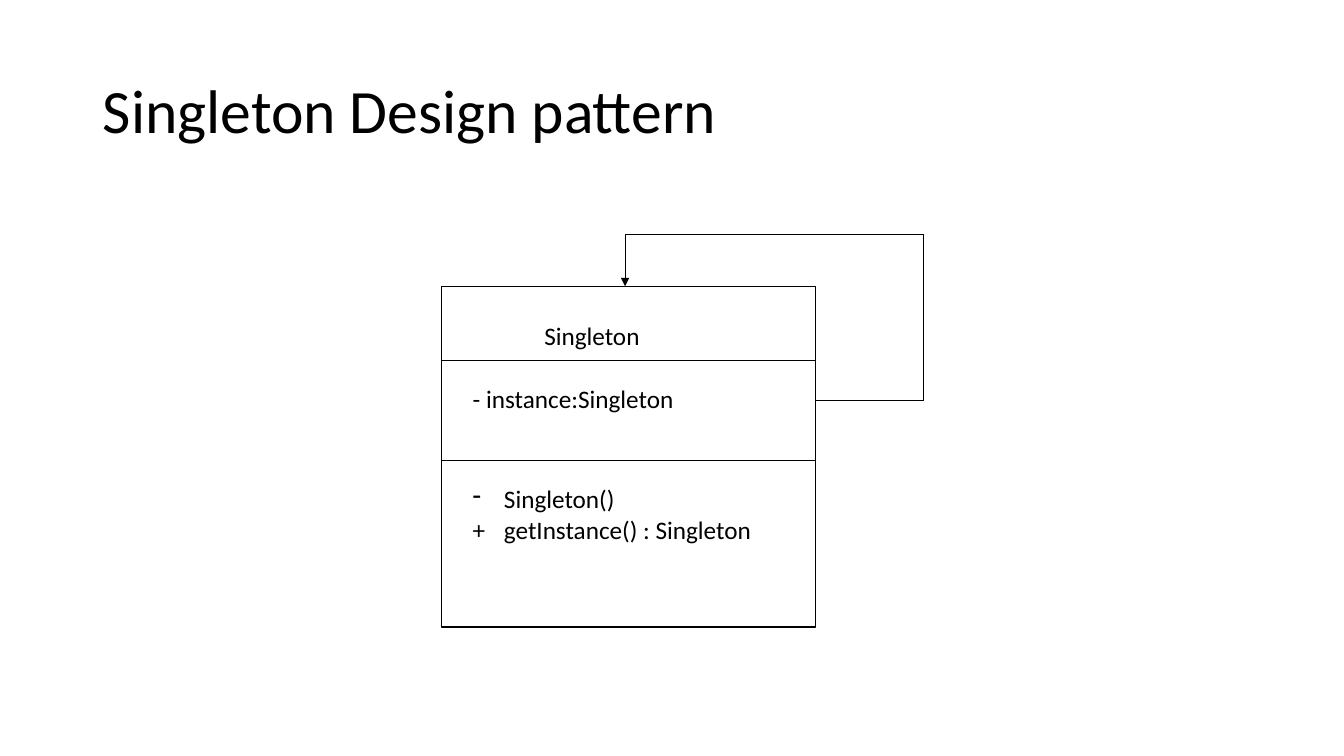
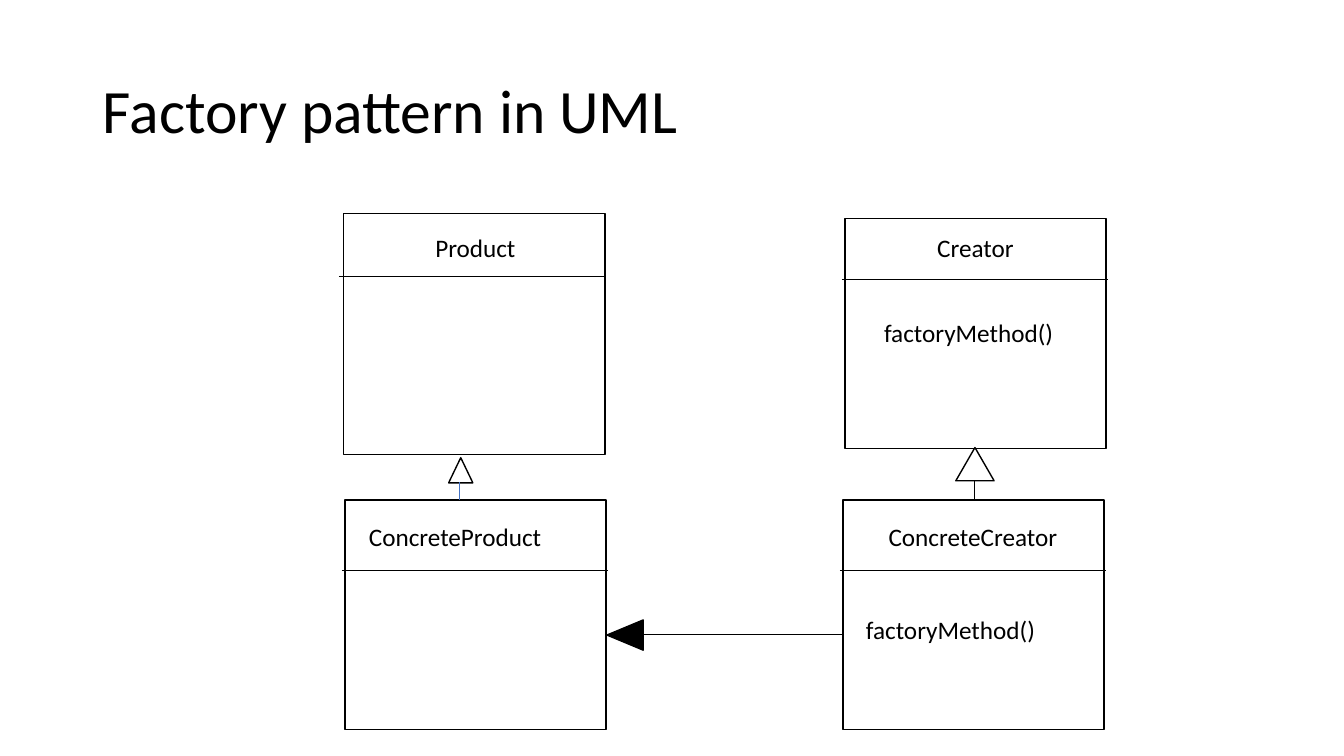
from dataclasses import dataclass

from lxml import etree
from pptx import Presentation
from pptx import util as u
from pptx.dml.color import RGBColor
from pptx.enum import shapes, text
from pptx.oxml import ns

PX = 9144  # EMU, 100 px to the inch


@dataclass(frozen=True)
class Theme:
    font: str = "Calibri"
    black: RGBColor = RGBColor(0, 0, 0)
    white: RGBColor = RGBColor(255, 255, 255)
    blue: RGBColor = RGBColor(0x44, 0x72, 0xC4)
    title_size: int = 44
    label_size: int = 18
    outline: float = 1
    rule: float = 0.5


@dataclass
class ClassBox:
    left: int
    top: int
    width: int
    height: int
    rules: tuple  # y of each compartment line
    overhang: tuple = (0, 0)  # how far the lines pass the left and right edges


@dataclass
class Label:
    left: int
    top: int
    width: int
    content: str
    align: text.PP_ALIGN = text.PP_ALIGN.LEFT
    height: int = 40
    hang: int = 0  # hanging indent
    bullet: str = ""  # bullet of the first line


theme = Theme()
CENTER = text.PP_ALIGN.CENTER


def write(box, content, size=theme.label_size, align=text.PP_ALIGN.LEFT,
          anchor=text.MSO_ANCHOR.TOP, spacing=1.0, hang=0, bullet=""):
    frame = box.text_frame
    frame.word_wrap = True
    frame.auto_size = text.MSO_AUTO_SIZE.NONE
    frame.vertical_anchor = anchor
    for index, line in enumerate(content.split("\n")):
        para = frame.add_paragraph() if index else frame.paragraphs[0]
        para.alignment = align
        para.line_spacing = spacing
        span = para.add_run()
        span.text = line
        span.font.name = theme.font
        span.font.size = u.Pt(size)
        span.font.color.rgb = theme.black
        if hang:
            props = para._p.get_or_add_pPr()
            props.set("marL", str(hang * PX))
            props.set("indent", str(-hang * PX))
            if bullet and index == 0:
                etree.SubElement(props, ns.qn("a:buChar"), char=bullet)


def connect(page, start, end, color=theme.black, arrow=False):
    line = page.shapes.add_connector(
        shapes.MSO_CONNECTOR.STRAIGHT, *(value * PX for value in (*start, *end)))
    line.line.color.rgb = color
    line.line.width = u.Pt(theme.rule)
    if arrow:
        etree.SubElement(line.line._get_or_add_ln(), ns.qn("a:tailEnd"), type="triangle")
    etree.SubElement(line._element.spPr, ns.qn("a:effectLst"))


singleton = ClassBox(438, 284, 371, 338, (358, 457))
product = ClassBox(341, 212, 259, 239, (274,), (5, 0))
creator = ClassBox(838, 217, 259, 228, (277,), (3, 2))
concrete_product = ClassBox(342, 496, 259, 228, (566,), (3, 2))
concrete_creator = ClassBox(836, 496, 259, 228, (566,), (3, 2))

diagrams = [
    {
        "title": "Singleton Design pattern",
        "classes": [singleton],
        "triangles": [],
        "lines": [],
        "self_reference": [(809, 397), (916, 397), (916, 233), (620, 233), (620, 284)],
        "labels": [
            Label(530, 313, 210, "Singleton"),
            Label(459, 375, 322, "- instance:Singleton"),
            Label(459, 475, 322, "Singleton()\n+\tgetInstance() : Singleton",
                  height=71, hang=31, bullet="-"),
        ],
    },
    {
        "title": "Factory pattern in UML",
        "classes": [product, creator, concrete_product, concrete_creator],
        # left, top, width, height, rotation, fill
        "triangles": [
            (445, 454, 24, 25, 0, theme.white),
            (948, 444, 38, 33, 0, theme.white),
            (605, 612, 30, 36, 270, theme.black),
        ],
        "lines": [
            ((456, 496), (456, 478), theme.blue),
            ((966, 496), (966, 477), theme.black),
            ((836, 629), (638, 629), theme.black),
        ],
        "self_reference": [],
        "labels": [
            Label(357, 226, 229, "Product", CENTER),
            Label(851, 226, 233, "Creator", CENTER),
            Label(867, 310, 233, "factoryMethod()"),
            Label(356, 512, 229, "ConcreteProduct"),
            Label(833, 512, 264, "ConcreteCreator", CENTER),
            Label(849, 605, 233, "factoryMethod()"),
        ],
    },
]

deck = Presentation()
deck.slide_width, deck.slide_height = 1333 * PX, 750 * PX
title_only = deck.slide_layouts[5]

for diagram in diagrams:
    page = deck.slides.add_slide(title_only)
    title = page.shapes.title
    title.left, title.top, title.width, title.height = (
        value * PX for value in (92, 40, 1150, 145))
    write(title, diagram["title"], size=theme.title_size,
          anchor=text.MSO_ANCHOR.MIDDLE, spacing=0.9)

    outlines = [(shapes.MSO_SHAPE.RECTANGLE, c.left, c.top, c.width, c.height, 0, theme.white)
                for c in diagram["classes"]]
    outlines += [(shapes.MSO_SHAPE.ISOSCELES_TRIANGLE, *triangle)
                 for triangle in diagram["triangles"]]
    for kind, left, top, width, height, rotation, fill in outlines:
        shape = page.shapes.add_shape(kind, left * PX, top * PX, width * PX, height * PX)
        shape.rotation = rotation
        shape.shadow.inherit = False
        shape.fill.solid()
        shape.fill.fore_color.rgb = fill
        shape.line.color.rgb = theme.black
        shape.line.width = u.Pt(theme.outline)

    for class_box in diagram["classes"]:
        before, after = class_box.overhang
        for y in class_box.rules:
            connect(page, (class_box.left - before, y),
                    (class_box.left + class_box.width + after, y))

    for start, end, color in diagram["lines"]:
        connect(page, start, end, color)

    corners = diagram["self_reference"]
    for start, end in zip(corners, corners[1:]):
        connect(page, start, end, arrow=end == corners[-1])

    for label in diagram["labels"]:
        box = page.shapes.add_textbox(
            label.left * PX, label.top * PX, label.width * PX, label.height * PX)
        write(box, label.content, align=label.align, hang=label.hang, bullet=label.bullet)

deck.save("out.pptx")
